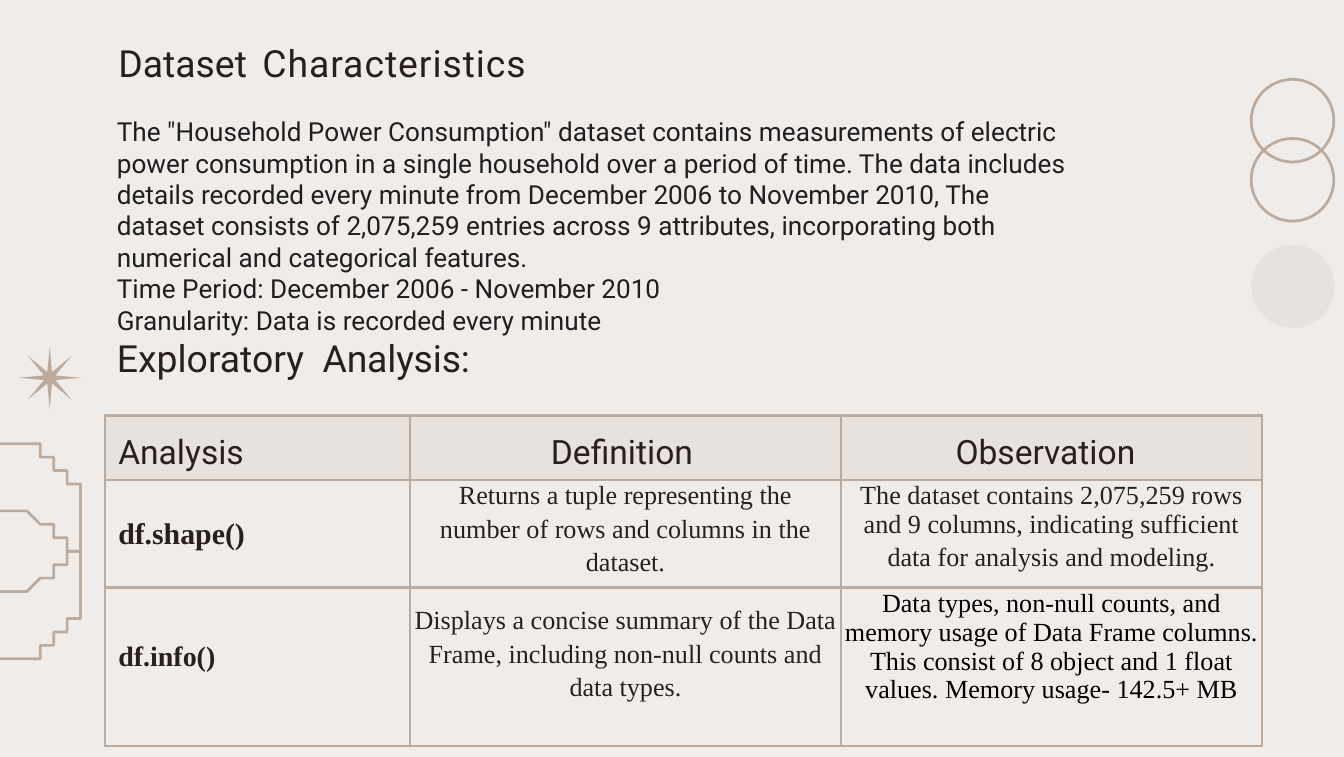
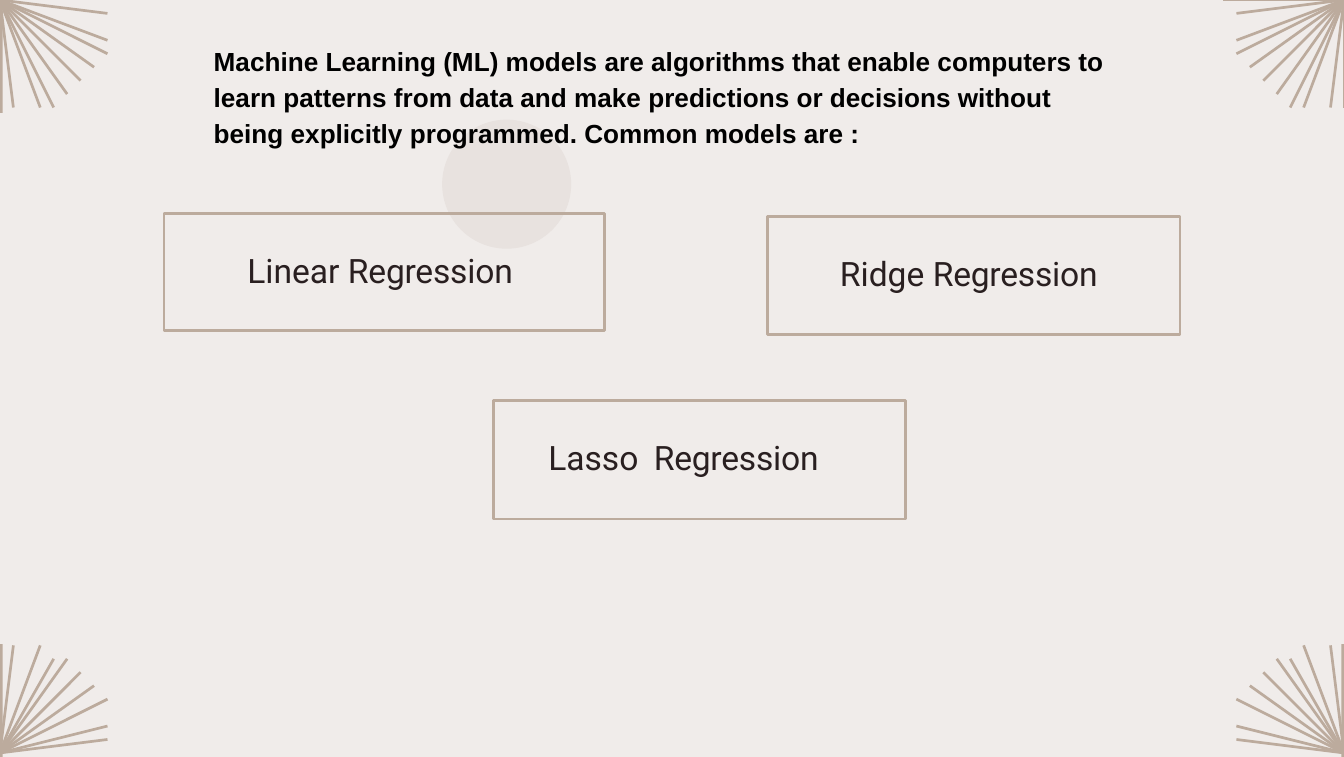
import math
from dataclasses import dataclass

from lxml import etree
from pptx import Presentation, util as u
from pptx.dml.color import RGBColor
from pptx.enum import shapes, text
from pptx.oxml.ns import qn


@dataclass(frozen=True)
class Theme:
    paper: str = "F0ECEA"
    accent: str = "BCAB9D"
    tint: str = "E8E2DF"
    ink: str = "291F20"
    body_ink: str = "1F1F1F"
    black: str = "000000"
    sans: str = "Roboto"
    serif: str = "Times New Roman"
    plain: str = "Arial"
    title: float = 20
    heading: float = 18
    label: float = 16
    body: float = 14
    outline: float = 1.44
    border: float = 1.5


THEME = Theme()
COLS, ROWS = 100, 56.3      # grid of square cells, a tenth of an inch each
CELL = u.Inches(0.1)
CENTER = text.PP_ALIGN.CENTER


def grid(*lengths):
    return [round(length * CELL) for length in lengths]


def rgb(color):
    return RGBColor.from_string(color)


def write(frame, words, size=THEME.body, font=THEME.sans, color=THEME.ink, bold=False,
          align=text.PP_ALIGN.LEFT, leading=None, before=0):
    """Add a paragraph; words is a string or a list of (string, letter spacing)."""
    para = frame.paragraphs[0]
    if para.runs:
        para = frame.add_paragraph()
    para.alignment = align
    para.space_before = u.Pt(before)
    if leading:
        para.line_spacing = leading
    for part, tracking in [(words, 0)] if isinstance(words, str) else words:
        span = para.add_run()
        span.text = part
        span.font.size, span.font.name, span.font.bold = u.Pt(size), font, bold
        span.font.color.rgb = rgb(color)
        if tracking:
            span._r.get_or_add_rPr().set("spc", str(round(tracking * 100)))


class Sketch:
    """Holds the theme and the slide being drawn."""

    def __init__(self, deck, theme):
        self.deck, self.theme, self.page = deck, theme, None

    def new_page(self):
        self.page = self.deck.slides.add_slide(self.deck.slide_layouts[6])

    def style(self, shape, fill=None, line=None):
        shape.shadow.inherit = False
        if fill:
            shape.fill.solid()
            shape.fill.fore_color.rgb = rgb(fill)
        else:
            shape.fill.background()
        if line:
            shape.line.color.rgb = rgb(line)
            shape.line.width = u.Pt(self.theme.outline)
        else:
            shape.line.fill.background()
        return shape

    def preset(self, kind, place, fill=None, line=None, parent=None):
        home = parent or self.page
        return self.style(home.shapes.add_shape(kind, *grid(*place)), fill, line)

    def strokes(self, contours, parent=None):
        home = parent or self.page
        builder = home.shapes.build_freeform(*contours[0][0], scale=CELL)
        for index, (start, *rest) in enumerate(contours):
            if index:
                builder.move_to(*start)
            builder.add_line_segments(rest, close=False)
        return self.style(builder.convert_to_shape(), line=self.theme.accent)

    def circle(self, left, top, size, **look):
        return self.preset(shapes.MSO_SHAPE.OVAL, (left, top, size, size), **look)

    def frame(self, box, left=0, top=0):
        frame = box.text_frame
        frame.word_wrap = True
        frame.vertical_anchor = text.MSO_ANCHOR.TOP
        frame.margin_left, frame.margin_top = grid(left, top)
        frame.margin_right = frame.margin_bottom = 0
        return frame

    def text_box(self, *place, top=0.1):
        return self.frame(self.page.shapes.add_textbox(*grid(*place)), top=top)

    def model_card(self, place, indent, words):
        box = self.preset(shapes.MSO_SHAPE.RECTANGLE, place, line=self.theme.accent)
        write(self.frame(box, indent, 2.7), words, size=self.theme.heading)

    def fan(self, right, bottom, rays=range(1, 10)):
        """Rays nine degrees apart, spreading from a corner of the slide."""
        def spot(x, y):
            return (COLS - x if right else x, ROWS - y if bottom else y)

        group = self.page.shapes.add_group_shape()
        if 0 not in rays:
            left, top = (COLS - 0.2 if right else 0), (ROWS - 8.4 if bottom else 0)
            self.preset(shapes.MSO_SHAPE.RECTANGLE, (left, top, 0.2, 8.4),
                        fill=self.theme.accent, parent=group)
        contours = []
        for ray in rays:
            angle = math.radians(9 * ray)
            tip = spot(0.1 + 8.5 * math.sin(angle), 8.5 * math.cos(angle))
            contours.append([tip, spot(0.15, 0)])
        self.strokes(contours, group)

    def arches(self, tops, size, straight):
        """Half rings entering from the left edge."""
        radius, contours = size / 2, []
        for top in tops:
            arc = [(straight + radius * math.cos(angle), top + radius * (1 + math.sin(angle)))
                   for angle in (math.radians(step) for step in range(90, -91, -6))]
            contours.append([(0, top + size), *arc, (0, top)])
        self.strokes(contours)

    def table(self, place, widths, heights):
        table = self.page.shapes.add_table(len(heights), len(widths), *grid(*place)).table
        table.first_row = table.horz_banding = False
        for column, width in zip(table.columns, grid(*widths)):
            column.width = width
        for row, height in zip(table.rows, grid(*heights)):
            row.height = height
        return table

    def cell(self, cell, paragraphs, left=0, top=0.1, fill=None, middle=False, **look):
        cell.margin_left, cell.margin_top = grid(left, top)
        cell.margin_right = cell.margin_bottom = 0
        cell.vertical_anchor = text.MSO_ANCHOR.MIDDLE if middle else text.MSO_ANCHOR.TOP
        if fill:
            cell.fill.solid()
            cell.fill.fore_color.rgb = rgb(fill)
        else:
            cell.fill.background()
        for index, words in enumerate(paragraphs):
            write(cell.text_frame, words, before=2.4 if index else 0, **look)
        # Borders come before the fill in the cell properties
        props = cell._tc.get_or_add_tcPr()
        for index, side in enumerate(("a:lnL", "a:lnR", "a:lnT", "a:lnB")):
            edge = etree.Element(qn(side), w=str(u.Pt(self.theme.border)))
            solid = etree.SubElement(edge, qn("a:solidFill"))
            etree.SubElement(solid, qn("a:srgbClr"), val=self.theme.accent)
            props.insert(index, edge)


def dataset_page(sketch):
    theme = sketch.theme
    sketch.new_page()

    # Side ornaments
    sketch.arches((33.2, 38.3), 10.5, 0.9)
    star = sketch.preset(shapes.MSO_SHAPE.STAR_8_POINT, (1.4, 25.8, 4.6, 4.6), fill=theme.accent)
    star.adjustments[0] = 0.1
    for top in (10.3, 5.9):
        sketch.circle(93.1, top, 6.15, line=theme.accent)
    sketch.circle(93.1, 18.2, 6.2, fill=theme.tint)

    # Title and description
    write(sketch.text_box(8.8, 2.9, 31.8, 3.6),
          [("Dataset", 0), (" ", 3.2), ("Characteristics", 0.5)], size=theme.title)
    body = sketch.text_box(8.7, 8.5, 71, 20)
    for words in (
        'The "Household Power Consumption" dataset contains measurements of electric power '
        "consumption in a single household over a period of time. The data includes details "
        "recorded every minute from December 2006 to November 2010, The dataset consists of "
        "2,075,259 entries across 9 attributes, incorporating both",
        "numerical and categorical features.",
        "Time Period: December 2006 - November 2010",
        "Granularity: Data is recorded every minute",
    ):
        write(body, words, color=theme.body_ink)
    write(body, [("Exploratory", 0), (" ", 4.8), ("Analysis:", -0.1)], size=theme.title)

    # Analysis table
    table = sketch.table((7.8, 30.9, 86.1, 24.6), (22.7, 32.1, 31.3), (4.8, 8, 11.8))
    headings = (("Analysis", 1), ("Definition", 10.5), ("Observation", 8.5))
    for column, (words, indent) in enumerate(headings):
        sketch.cell(table.cell(0, column), [words], left=indent, top=1.3,
                    fill=theme.tint, size=theme.heading)
    label = dict(left=1, font=theme.serif, bold=True)
    prose = dict(font=theme.serif, align=CENTER)
    sketch.cell(table.cell(1, 0), ["df.shape()"], middle=True, size=theme.label, **label)
    sketch.cell(table.cell(1, 1), ["Returns a tuple representing the",
                                   "number of rows and columns in the", "dataset."], **prose)
    sketch.cell(table.cell(1, 2),
                ["The dataset contains 2,075,259 rows and 9 columns, indicating sufficient",
                 "data for analysis and modeling."], **prose)
    sketch.cell(table.cell(2, 0), ["df.info()"], top=4, size=theme.label - 1, **label)
    sketch.cell(table.cell(2, 1),
                ["Displays a concise summary of the Data Frame, including non-null counts "
                 "and data types."], top=1.1, leading=1.15, **prose)
    sketch.cell(table.cell(2, 2),
                ["Data types, non-null counts, and memory usage of Data Frame columns. This "
                 "consist of 8 object and 1 float values. Memory usage- 142.5+ MB"],
                color=theme.black, **prose)


def models_page(sketch):
    theme = sketch.theme
    sketch.new_page()

    # Corner fans
    sketch.fan(right=False, bottom=True)
    sketch.fan(right=True, bottom=False, rays=range(11))
    sketch.fan(right=True, bottom=True)
    sketch.fan(right=False, bottom=False)
    sketch.circle(32.9, 8.9, 9.6, fill=theme.tint)

    # Introduction
    write(sketch.text_box(15.9, 2.8, 67.7, 8.1, top=0.2),
          "Machine Learning (ML) models are algorithms that enable computers to learn patterns "
          "from data and make predictions or decisions without being explicitly programmed. "
          "Common models are :",
          font=theme.plain, color=theme.black, bold=True, leading=1.15)

    # Model cards
    ending = ("Regression", -0.1)
    sketch.model_card((12.2, 15.9, 32.8, 8.7), 6.2, [("Linear ", 0), ending])
    sketch.model_card((36.7, 29.8, 30.7, 8.8), 4.1, [("Lasso", 0), (" ", 3.7), ending])
    sketch.model_card((57.1, 16.1, 30.7, 8.8), 5.4, [("Ridge ", 0), ending])


def main():
    deck = Presentation()
    deck.slide_width, deck.slide_height = grid(COLS, ROWS)
    backdrop = deck.slide_master.background.fill
    backdrop.solid()
    backdrop.fore_color.rgb = rgb(THEME.paper)
    sketch = Sketch(deck, THEME)
    dataset_page(sketch)
    models_page(sketch)
    deck.save("out.pptx")


if __name__ == "__main__":
    main()
